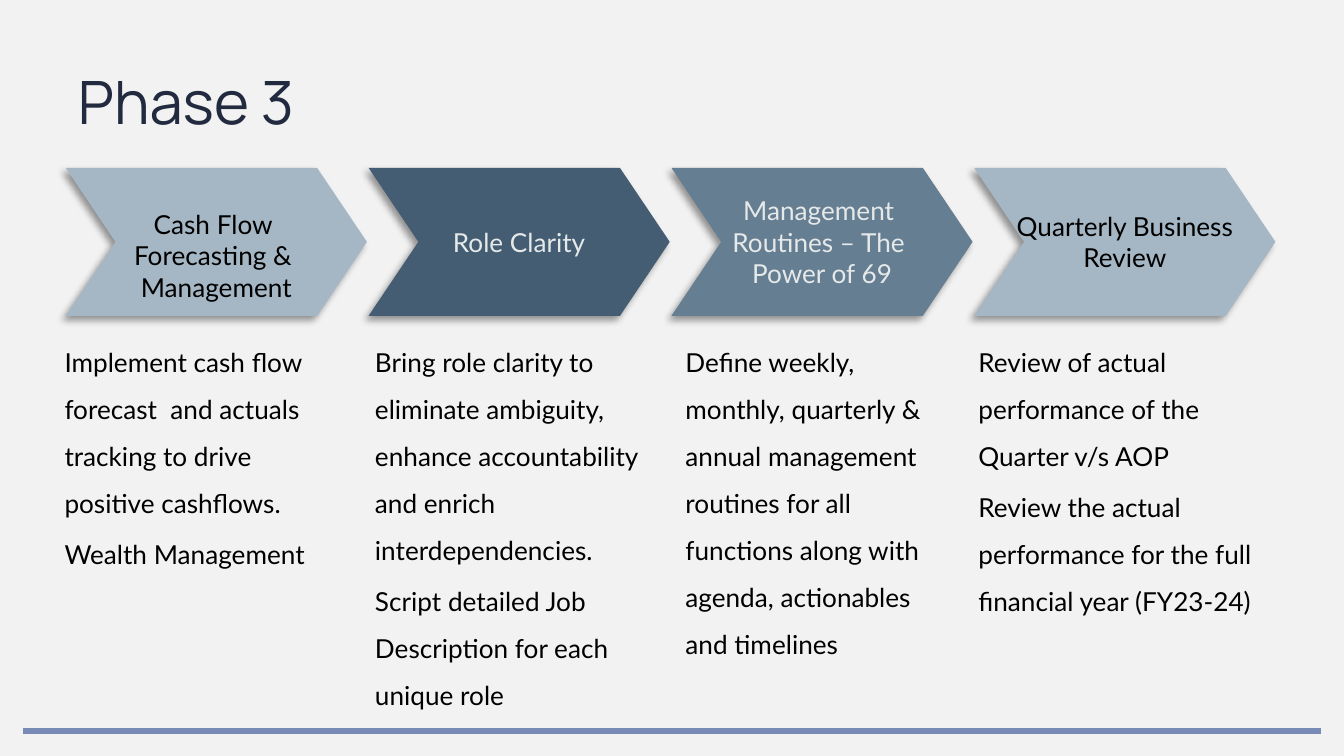
from lxml import etree
from pptx import Presentation
from pptx import util as u
from pptx.dml.color import RGBColor
from pptx.enum import shapes, text
from pptx.oxml import parse_xml
from pptx.oxml.ns import nsdecls, qn

COLORS = {"background": "F2F2F2", "rule": "788BB7", "title": "212A3E", "black": "000000",
          "pale": "E5E9E9", "light": "A5B7C5", "dark": "445D73", "mid": "667E92"}
SHADOW = (f'<a:effectLst {nsdecls("a")}><a:outerShdw blurRad="{u.Pt(4)}" dist="{u.Pt(3)}" '
          'dir="8100000" algn="tr" rotWithShape="0"><a:srgbClr val="000000">'
          '<a:alpha val="40000"/></a:srgbClr></a:outerShdw></a:effectLst>')
MIDDLE, BOTTOM = text.MSO_ANCHOR.MIDDLE, text.MSO_ANCHOR.BOTTOM
CHEVRON = {"top": 1.25, "width": 2.24, "height": 1.1, "point": 0.37}
FIRST_LEFT, LAST_LEFT = 0.49, 7.25

STEPS = [
    {"heading": ["Cash Flow ", "Forecasting & ", "Management"],
     "fill": "light", "ink": "black", "anchor": BOTTOM, "left": 0.48, "width": 2.02,
     "body": ["Implement cash flow forecast  and actuals tracking to drive positive cashflows.",
              "Wealth Management"]},
    {"heading": ["Role Clarity"],
     "fill": "dark", "ink": "pale", "anchor": MIDDLE, "left": 2.79, "width": 2.02,
     "body": ["Bring role clarity to eliminate ambiguity, enhance accountability and enrich "
              "interdependencies.",
              "Script detailed Job Description for each unique role"]},
    {"heading": ["Management ", "Routines – The ", "Power of 69"],
     "fill": "mid", "ink": "pale", "anchor": MIDDLE, "left": 5.1, "width": 2.02,
     "body": ["Define weekly, monthly, quarterly & annual management routines for all functions "
              "along with agenda, actionables and timelines"]},
    {"heading": ["Quarterly Business Review"],
     "fill": "light", "ink": "black", "anchor": MIDDLE, "left": 7.28, "width": 2.24,
     "body": ["Review of actual performance of the Quarter v/s AOP",
              "Review the actual performance for the full financial year (FY23-24)"]},
]


def set_all(target, values):
    for name, value in values.items():
        setattr(target, name, value)


def write(frame, lines, margin, anchor, font, size, color, layout):
    sides = ("margin_left", "margin_top", "margin_right", "margin_bottom")
    set_all(frame, {"word_wrap": True, "auto_size": text.MSO_AUTO_SIZE.NONE,
                    "vertical_anchor": anchor, **dict.fromkeys(sides, u.Inches(margin))})
    for index, line in enumerate(lines):
        para = frame.paragraphs[0] if index == 0 else frame.add_paragraph()
        set_all(para, layout)
        span = para.add_run()
        span.text = line
        set_all(span.font, {"name": font, "size": u.Pt(size)})
        span.font.color.rgb = RGBColor.from_string(COLORS[color])


deck = Presentation()
set_all(deck, {"slide_width": u.Inches(10), "slide_height": u.Inches(10 * 9 / 16)})
page = deck.slides.add_slide(deck.slide_layouts[5])
page.background.fill.solid()
page.background.fill.fore_color.rgb = RGBColor.from_string(COLORS["background"])

rule = page.shapes.add_connector(shapes.MSO_CONNECTOR.STRAIGHT, u.Inches(9.83), u.Inches(5.44),
                                 u.Inches(0.17), u.Inches(5.44))
rule.line.color.rgb = RGBColor.from_string(COLORS["rule"])
rule.line.width = u.Pt(3.5)
etree.SubElement(rule._element.spPr, qn("a:effectLst"))

title = page.shapes.title
set_all(title, {"left": u.Inches(0.48), "top": u.Inches(0.38),
                "width": u.Inches(8.43), "height": u.Inches(0.63)})
write(title.text_frame, ["Phase 3"], 0.1, text.MSO_ANCHOR.TOP, "Manrope", 32, "title",
      {"alignment": text.PP_ALIGN.LEFT})

top, bottom = CHEVRON["top"], CHEVRON["top"] + CHEVRON["height"]
middle = (top + bottom) / 2
pitch = (LAST_LEFT - FIRST_LEFT) / (len(STEPS) - 1)
for index, step in enumerate(STEPS):
    left = FIRST_LEFT + index * pitch
    right = left + CHEVRON["width"]
    notch, shoulder = left + CHEVRON["point"], right - CHEVRON["point"]
    corners = [(left, top), (notch, middle), (left, bottom),
               (shoulder, bottom), (right, middle), (shoulder, top)]
    points = [(u.Inches(x), u.Inches(y)) for x, y in corners]
    outline = page.shapes.build_freeform(*points[0])
    outline.add_line_segments(points[1:], close=True)
    chevron = outline.convert_to_shape()
    chevron.fill.solid()
    chevron.fill.fore_color.rgb = RGBColor.from_string(COLORS[step["fill"]])
    chevron.line.fill.background()
    chevron._element.spPr.append(parse_xml(SHADOW))
    write(chevron.text_frame, step["heading"], 0.1, step["anchor"], "Lato", 14, step["ink"],
          {"alignment": text.PP_ALIGN.CENTER})

for step in STEPS:
    box = page.shapes.add_textbox(u.Inches(step["left"]), u.Inches(2.46),
                                  u.Inches(step["width"]), u.Inches(1.42))
    write(box.text_frame, step["body"], 0, text.MSO_ANCHOR.TOP, "Lato", 14, "black",
          {"line_spacing": 1.5, "space_after": u.Pt(2.1)})

deck.save("out.pptx")
